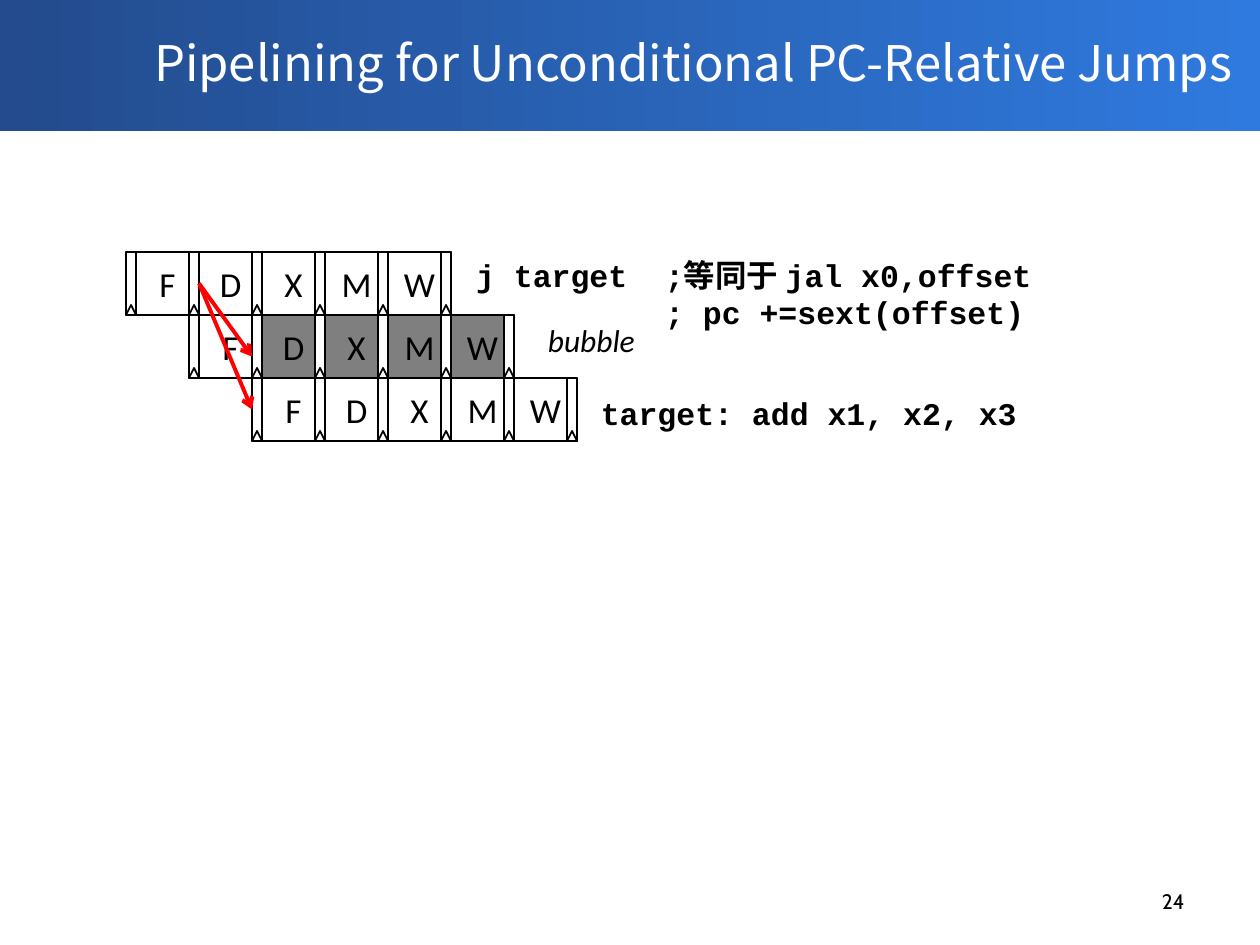
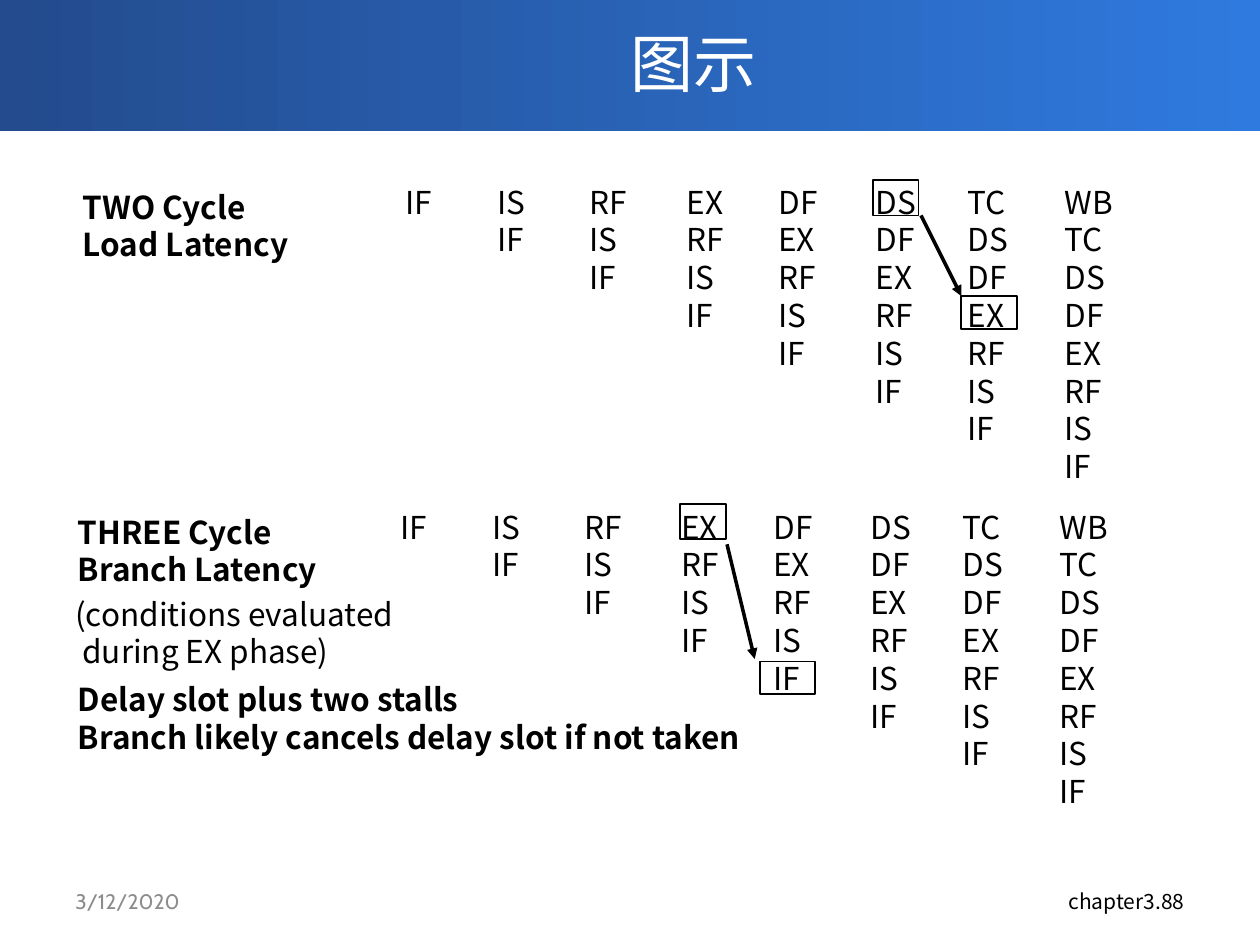
from dataclasses import dataclass
from typing import NamedTuple

from lxml import etree
from pptx import Presentation
from pptx.dml.color import RGBColor
from pptx.enum.shapes import MSO_CONNECTOR, MSO_SHAPE
from pptx.enum.text import MSO_ANCHOR, PP_ALIGN
from pptx.oxml.ns import qn
from pptx.util import Inches, Pt

RECT, TRIANGLE = MSO_SHAPE.RECTANGLE, MSO_SHAPE.ISOSCELES_TRIANGLE
STRAIGHT = MSO_CONNECTOR.STRAIGHT
TOP, MIDDLE = MSO_ANCHOR.TOP, MSO_ANCHOR.MIDDLE
LEFT, CENTER, RIGHT = PP_ALIGN.LEFT, PP_ALIGN.CENTER, PP_ALIGN.RIGHT
TITLE_ONLY = 5


@dataclass(frozen=True)
class Theme:
    band_start: str = "234B8D"
    band_end: str = "2F7ADF"
    white: str = "FFFFFF"
    black: str = "000000"
    muted: str = "8C8C8C"
    bubble: str = "7F7F7F"
    jump: str = "FF0000"
    sans: str = "Noto Sans CJK SC"
    footer_font: str = "Cabin"
    stage_font: str = "Calibri"
    code_font: str = "Courier New"
    long_title: int = 28
    short_title: int = 36
    stage: int = 20
    body: int = 18
    footer: int = 12
    line_pitch: float = 21.6


THEME = Theme()


class Box(NamedTuple):
    left: float
    top: float
    width: float
    height: float

    def emu(self) -> list:
        return [Inches(length) for length in self]


class Style(NamedTuple):
    size: int = THEME.body
    font: str = THEME.sans
    color: str = THEME.black
    bold: bool = False
    italic: bool = False


class Label(NamedTuple):
    box: Box
    lines: tuple
    style: Style = Style()


class Arrow(NamedTuple):
    start: tuple
    end: tuple
    color: str
    weight: float
    head: str


class Instruction(NamedTuple):
    first_cycle: int
    bubble_stages: str = ""


class LatencyChart(NamedTuple):
    left: float
    top: float
    boxed_stages: tuple
    dependency: Arrow
    labels: tuple


BOLD = Style(bold=True)
CODE = Style(font=THEME.code_font, bold=True)
STAGE = Style(THEME.stage, THEME.stage_font)
FOOTER = Style(THEME.footer, THEME.footer_font)

BAND = Box(0, -0.03, 10, 1.07)
TITLE = Box(1, 0, 9, 0.99)
DATE = Box(0.5, 6.95, 2.33, 0.4)
PAGE = Box(7.17, 6.95, 2.33, 0.4)

# Five-stage pipeline
STAGES = "FDXMW"
CYCLE = 0.5
REGISTER = 0.08
PIPE_LEFT, PIPE_TOP = 1, 2
COMMENT_INDENT = 1.5
INSTRUCTIONS = (Instruction(0), Instruction(1, "DXMW"), Instruction(2))
JUMP_LABELS = (
    Label(Box(4.67, 3.08, 3.53, 0.4), ("target: add x1, x2, x3",), CODE),
    Label(Box(4.25, 2.5, 0.96, 0.4), ("bubble",),
          Style(font=THEME.stage_font, italic=True)),
)
JUMP_ARROWS = tuple(
    Arrow((1.58, 2.25), end, THEME.jump, 2.25, "arrow")
    for end in ((2, 3.25), (2, 2.83))
)

# Eight-stage pipeline
DEEP_STAGES = ("IF", "IS", "RF", "EX", "DF", "DS", "TC", "WB")
COLUMN_OFFSETS = (0, 0.73, 1.46, 2.23, 2.96, 3.73, 4.46, 5.23)
COLUMN_WIDTHS = (0.42, 0.43, 0.5, 0.5, 0.53, 0.55, 0.55, 0.61)
ROW = 0.3
LATENCY_CHARTS = (
    LatencyChart(
        3.12, 1.4,
        (Box(6.93, 1.43, 0.36, 0.28), Box(7.63, 2.35, 0.44, 0.26)),
        Arrow((7.31, 1.71), (7.63, 2.35), THEME.black, 2, "triangle"),
        (Label(Box(0.56, 1.44, 1.86, 0.7),
               ("TWO Cycle", "Load Latency"), BOLD),),
    ),
    LatencyChart(
        3.08, 3.98,
        (Box(5.4, 4, 0.36, 0.28), Box(6.03, 5.25, 0.44, 0.26)),
        Arrow((5.77, 4.32), (5.99, 5.23), THEME.black, 2, "triangle"),
        (Label(Box(0.52, 4.02, 2.13, 0.7),
               ("THREE Cycle", "Branch Latency"), BOLD),
         Label(Box(0.5, 4.67, 2.8, 0.7),
               ("(conditions evaluated", " during EX phase)")),
         Label(Box(0.52, 5.35, 5.66, 0.7),
               ("Delay slot plus two stalls",
                "Branch likely cancels delay slot if not taken"), BOLD)),
    ),
)


def rgb(color: str) -> RGBColor:
    return RGBColor.from_string(color)


def write(paragraph, text: str, style: Style, align=LEFT) -> None:
    """Add one run, with its typeface set for Latin and East Asian text."""
    paragraph.alignment = align
    run = paragraph.add_run()
    run.text = text
    font = run.font
    font.size, font.name = Pt(style.size), style.font
    font.bold, font.italic = style.bold, style.italic
    font.color.rgb = rgb(style.color)
    east_asian = etree.SubElement(font._element, qn("a:ea"))
    east_asian.set("typeface", THEME.sans)


def add_label(slide, label: Label, align=LEFT, anchor=TOP):
    frame = slide.shapes.add_textbox(*label.box.emu()).text_frame
    frame.word_wrap = True
    frame.vertical_anchor = anchor
    for index, line in enumerate(label.lines):
        paragraph = frame.add_paragraph() if index else frame.paragraphs[0]
        if label.style.size == THEME.body:
            paragraph.line_spacing = Pt(THEME.line_pitch)
        write(paragraph, line, label.style, align)
    return frame


def add_outlined(slide, kind, box: Box, fill: str = ""):
    """Draw a thin black outline; an empty fill leaves it see-through."""
    shape = slide.shapes.add_shape(kind, *box.emu())
    shape.shadow.inherit = False
    if fill:
        shape.fill.solid()
        shape.fill.fore_color.rgb = rgb(fill)
    else:
        shape.fill.background()
    shape.line.color.rgb = rgb(THEME.black)
    shape.line.width = Pt(1)
    return shape


def add_arrow(slide, arrow: Arrow) -> None:
    points = [Inches(value) for value in arrow.start + arrow.end]
    connector = slide.shapes.add_connector(STRAIGHT, *points)
    connector.line.color.rgb = rgb(arrow.color)
    connector.line.width = Pt(arrow.weight)
    head = etree.SubElement(connector.line._get_or_add_ln(), qn("a:tailEnd"))
    head.set("type", arrow.head)
    etree.SubElement(connector.element.spPr, qn("a:effectLst"))


def add_titled_slide(deck, text: str, size: int):
    slide = deck.slides.add_slide(deck.slide_layouts[TITLE_ONLY])
    title = slide.shapes.title
    title.left, title.top, title.width, title.height = TITLE.emu()
    title.text_frame.vertical_anchor = MIDDLE
    write(title.text_frame.paragraphs[0], text,
          Style(size, color=THEME.white), CENTER)

    band = slide.shapes.add_shape(RECT, *BAND.emu())
    band.shadow.inherit = False
    band.line.fill.background()
    band.fill.gradient()
    band.fill.gradient_angle = 0
    for stop, color in zip(band.fill.gradient_stops,
                           (THEME.band_start, THEME.band_end)):
        stop.color.rgb = rgb(color)
    title.element.addprevious(band.element)
    return slide


def add_register(slide, left: float, top: float) -> None:
    """Draw a pipeline register with its clock notch."""
    add_outlined(slide, RECT, Box(left, top, REGISTER, CYCLE), THEME.white)
    notch_top = top + CYCLE - REGISTER
    add_outlined(slide, TRIANGLE,
                 Box(left, notch_top, REGISTER, REGISTER), THEME.white)


def add_instruction(slide, row: int, instruction: Instruction) -> None:
    left = PIPE_LEFT + instruction.first_cycle * CYCLE
    top = PIPE_TOP + row * CYCLE
    add_register(slide, left, top)
    for index, stage in enumerate(STAGES):
        stage_left = left + index * CYCLE + REGISTER
        stalled = stage in instruction.bubble_stages
        cell = add_outlined(slide, RECT, Box(stage_left, top, CYCLE, CYCLE),
                            THEME.bubble if stalled else THEME.white)
        frame = cell.text_frame
        frame.margin_left = frame.margin_right = 0
        frame.margin_top = frame.margin_bottom = 0
        frame.vertical_anchor = MIDDLE
        write(frame.paragraphs[0], stage, STAGE, CENTER)
        add_register(slide, left + (index + 1) * CYCLE, top)


def add_jump_code(slide) -> None:
    """Write the jump with both comments aligned at one tab stop."""
    code = Label(Box(3.68, 1.98, 4.88, 0.71),
                 ("j target\t;等同于 jal x0,offset", "; pc +=sext(offset)"), CODE)
    jump, comment = add_label(slide, code).paragraphs
    indent = str(Inches(COMMENT_INDENT))
    stops = etree.SubElement(jump._p.get_or_add_pPr(), qn("a:tabLst"))
    etree.SubElement(stops, qn("a:tab"), pos=indent, algn="l")
    comment._p.get_or_add_pPr().set("marL", indent)


def build_jump_slide(deck) -> None:
    slide = add_titled_slide(
        deck, "Pipelining for Unconditional PC-Relative Jumps", THEME.long_title)
    add_label(slide, Label(PAGE, ("24",), FOOTER), RIGHT, MIDDLE)
    for row, instruction in enumerate(INSTRUCTIONS):
        add_instruction(slide, row, instruction)
    add_jump_code(slide)
    for label in JUMP_LABELS:
        add_label(slide, label)
    for arrow in JUMP_ARROWS:
        add_arrow(slide, arrow)


def add_latency_chart(slide, chart: LatencyChart) -> None:
    for cycle, (offset, width) in enumerate(zip(COLUMN_OFFSETS, COLUMN_WIDTHS)):
        active_stages = DEEP_STAGES[cycle::-1]
        box = Box(chart.left + offset, chart.top, width,
                  len(active_stages) * ROW + 0.1)
        add_label(slide, Label(box, active_stages))
    add_arrow(slide, chart.dependency)
    for box in chart.boxed_stages:
        add_outlined(slide, RECT, box)
    for label in chart.labels:
        add_label(slide, label)


def build_latency_slide(deck) -> None:
    slide = add_titled_slide(deck, "图示", THEME.short_title)
    date_style = FOOTER._replace(color=THEME.muted)
    page_style = FOOTER._replace(font=THEME.sans)
    add_label(slide, Label(DATE, ("3/12/2020",), date_style), LEFT, MIDDLE)
    add_label(slide, Label(PAGE, ("chapter3.88",), page_style), RIGHT, MIDDLE)
    for chart in LATENCY_CHARTS:
        add_latency_chart(slide, chart)


def main() -> None:
    deck = Presentation()
    deck.slide_width, deck.slide_height = Inches(10), Inches(7.5)
    build_jump_slide(deck)
    build_latency_slide(deck)
    deck.save("out.pptx")


if __name__ == "__main__":
    main()
